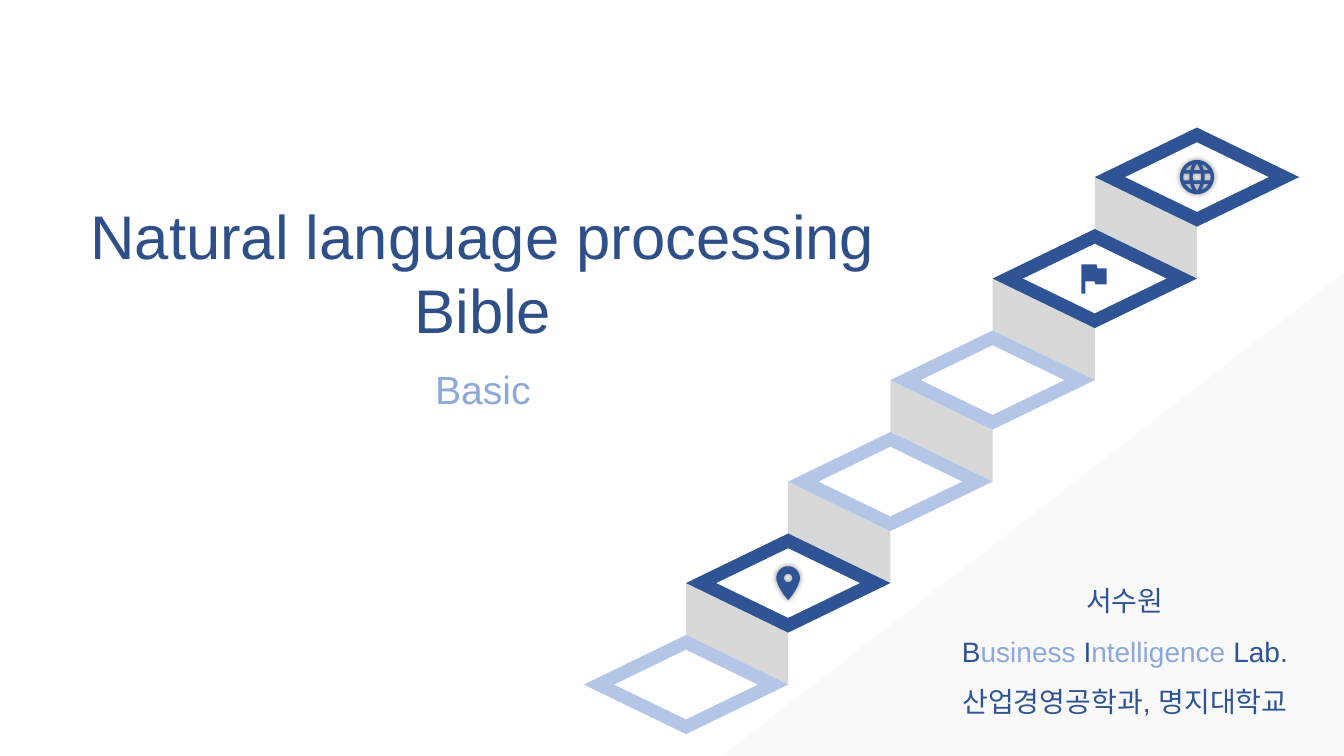
from math import cos, pi, sin
from pptx import Presentation
from pptx.dml.color import RGBColor
from pptx.enum.shapes import MSO_SHAPE
from pptx.enum.text import MSO_ANCHOR, MSO_AUTO_SIZE, PP_ALIGN
from pptx.oxml import parse_xml
from pptx.oxml.ns import nsdecls, qn
from pptx.util import Pt

NAVY = RGBColor(0x2F, 0x54, 0x96)
TITLE = RGBColor(0x2E, 0x4F, 0x88)
SOFT = RGBColor(0x8D, 0xA9, 0xDB)
PALE = RGBColor(0xB3, 0xC6, 0xE7)
GREY = RGBColor(0xD8, 0xD8, 0xD8)
MIST = RGBColor(0xF2, 0xF2, 0xF2)
WHITE = RGBColor(0xFF, 0xFF, 0xFF)

STEP = 73
RISE = 72.5
TONES = [PALE, NAVY, PALE, PALE, NAVY, NAVY]
FRAME = {
    "word_wrap": True,
    "vertical_anchor": MSO_ANCHOR.MIDDLE,
    "margin_left": 0,
    "margin_right": 0,
    "margin_top": 0,
    "margin_bottom": 0,
    "auto_size": MSO_AUTO_SIZE.SHAPE_TO_FIT_TEXT,
}
FLAG = [(1.9, -7.3), (1.2, -10.2), (-9.6, -10.2), (-9.6, 10.7), (-6.7, 10.7),
        (-6.7, 2), (-0.2, 2), (0.5, 4.2), (8.4, 4.2), (8.4, -7.3)]
CORNER = [(8.44, -4.88), (4.84, -4.88), (4.2, -7.1), (3.15, -9.22), (6.1, -7.6)]
POLE = [(0, -9.72), (1.4, -7.4), (2.33, -4.88), (-2.33, -4.88), (-1.4, -7.4)]
SIDE = [(9.45, 2.44), (9.76, 0), (9.45, -2.44), (5.33, -2.44), (5.49, 0), (5.33, 2.44)]
CORE = [(2.85, 2.44), (3.05, 0), (2.85, -2.44), (-2.85, -2.44), (-3.05, 0), (-2.85, 2.44)]


def apply(item, style):
    for name, value in style.items():
        setattr(item, name, value)


def paint(shape, color):
    shape.shadow.inherit = False
    shape.fill.solid()
    shape.fill.fore_color.rgb = color
    shape.line.fill.background()
    return shape


def add_box(slide, kind, box, color):
    return paint(slide.shapes.add_shape(kind, *map(Pt, box)), color)


def add_slope(slide):
    slope = add_box(slide, MSO_SHAPE.RIGHT_TRIANGLE, (515.5, 195, 444.5, 345), MIST)
    slope._element.spPr.xfrm.set("flipH", "1")
    tint = slope._element.spPr.find(qn("a:solidFill"))[0]
    tint.append(parse_xml(f'<a:alpha {nsdecls("a")} val="40000"/>'))


def center(i):
    return 490 + STEP * i, 489 - RISE * i


def add_wall(slide, i):
    x, y = center(i)
    wall = add_box(slide, MSO_SHAPE.PARALLELOGRAM, (x, y - RISE, STEP, STEP), GREY)
    wall.rotation = 270
    wall.adjustments[0] = 0.469


def add_tile(slide, i):
    x, y = center(i)
    for w, h, color in ((146, 70.8, TONES[i]), (102.4, 49.6, WHITE)):
        add_box(slide, MSO_SHAPE.DIAMOND, (x - w / 2, y - h / 2, w, h), color)


def arc(r, start=0, end=360, y=0, count=48):
    turns = [(start + (end - start) * k / count) * pi / 180 for k in range(count + 1)]
    return [(r * cos(t), y + r * sin(t)) for t in turns]


def flip(loop, sx, sy):
    return [(x * sx, y * sy) for x, y in loop]


def globe():
    corners = [flip(CORNER, sx, sy) for sx in (1, -1) for sy in (1, -1)]
    poles = [flip(POLE, 1, sy) for sy in (1, -1)]
    sides = [flip(SIDE, sx, 1) for sx in (1, -1)]
    return [arc(12.2), CORE] + corners + poles + sides


def pin():
    edge = arc(8.4, 165, 375, -3.6)
    tip = [(6.5, 2.8), (3.5, 7.8), (0, 12.2), (-3.5, 7.8), (-6.5, 2.8)]
    return [edge + tip, arc(3, y=-3.6)]


def add_icon(slide, i, loops, glow=True):
    cx, cy = center(i)
    loops = [[(Pt(cx + x), Pt(cy + y)) for x, y in loop] for loop in loops]
    pen = slide.shapes.build_freeform(*loops[0][0])
    for k, loop in enumerate(loops):
        if k:
            pen.move_to(*loop[0])
        pen.add_line_segments(loop[1:], close=True)
    icon = paint(pen.convert_to_shape(), NAVY)
    if glow:
        icon._element.spPr.find(qn("a:effectLst")).append(parse_xml(
            f'<a:outerShdw {nsdecls("a")} blurRad="{Pt(4)}" dist="0" dir="0">'
            '<a:srgbClr val="000000"><a:alpha val="45000"/></a:srgbClr></a:outerShdw>'))


def add_text(slide, box, lines, size, gap=1.0):
    frame = slide.shapes.add_textbox(*map(Pt, box)).text_frame
    apply(frame, FRAME)
    for k, line in enumerate(lines):
        para = frame.add_paragraph() if k else frame.paragraphs[0]
        apply(para, {"alignment": PP_ALIGN.CENTER, "line_spacing": gap})
        for text, color in line:
            run = para.add_run()
            run.text = text
            apply(run.font, {"name": "Arial", "size": Pt(size)})
            run.font.color.rgb = color


def main():
    deck = Presentation()
    apply(deck, {"slide_width": Pt(960), "slide_height": Pt(540)})
    slide = deck.slides.add_slide(deck.slide_layouts[6])
    add_slope(slide)
    for i in range(len(TONES) - 1):
        add_wall(slide, i)
    for i in range(len(TONES)):
        add_tile(slide, i)
    add_icon(slide, 1, pin())
    add_icon(slide, 4, [FLAG], glow=False)
    add_icon(slide, 5, globe())
    add_text(slide, (32.4, 141, 625, 106.6),
             [[("Natural language processing", TITLE)], [("Bible", TITLE)]], 44)
    add_text(slide, (32.4, 260.6, 625, 34), [[("Basic", SOFT)]], 28)
    lab = [("B", NAVY), ("usiness ", SOFT), ("I", NAVY), ("ntelligence ", SOFT), ("Lab.", NAVY)]
    add_text(slide, (671, 404.6, 265, 108.7),
             [[("서수원", NAVY)], lab, [("산업경영공학과, 명지대학교", NAVY)]], 20, 1.5)
    deck.save("out.pptx")


if __name__ == "__main__":
    main()
